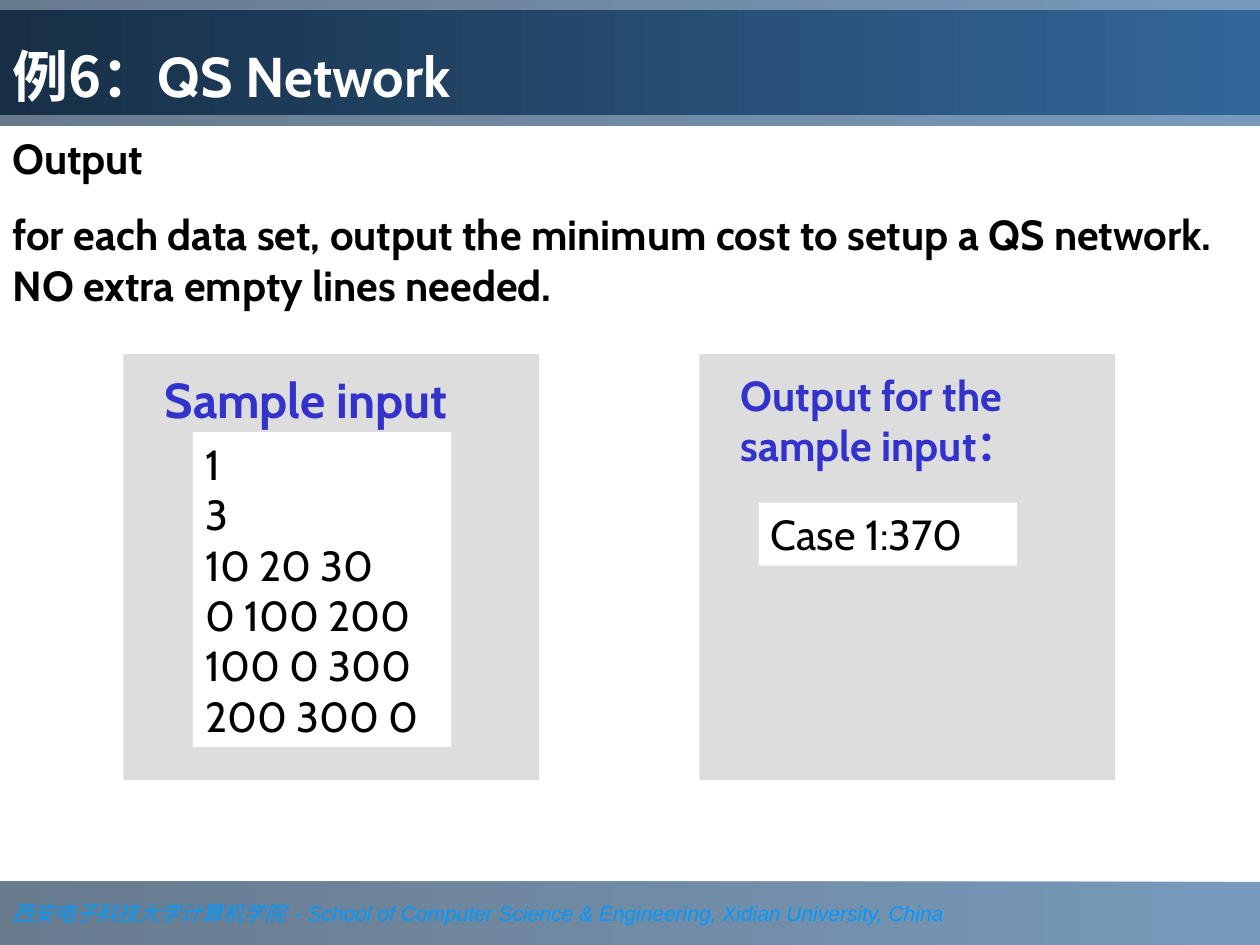
import pptx
import pptx.dml.color
import pptx.enum.shapes
import pptx.enum.text
import pptx.oxml.ns
import pptx.util
from lxml import etree

WIDTH, HEIGHT = 10, 7.5
BAND = 1
PANEL_LEFTS = (0.98, 5.55)
PANEL_TOP, PANEL_WIDTH, PANEL_HEIGHT = 2.81, 3.3, 3.38
LABEL_INSET = 0.23
INNER_WIDTH = 2.05
BLUE, NAVY, DARK = "336699", "1B3753", "172F46"
GREY, WHITE, BLACK, INDIGO = "DDDDDD", "FFFFFF", "000000", "3333CC"
ANCHOR = pptx.enum.text.MSO_ANCHOR


def color(value):
    return pptx.dml.color.RGBColor.from_string(value)


def place(shape, left, top, width, height):
    shape.left, shape.top, shape.width, shape.height = map(
        pptx.util.Inches, (left, top, width, height))


def fill_gradient(shape, start, end, alpha=None):
    """Fill from right to left; alpha is the opacity in percent."""
    shape.fill.gradient()
    shape.fill.gradient_angle = 180
    qn = pptx.oxml.ns.qn
    for stop, value in zip(shape.fill.gradient_stops, (start, end)):
        stop.color.rgb = color(value)
    if alpha is not None:
        for node in shape.element.spPr.iter(qn("a:srgbClr")):
            etree.SubElement(node, qn("a:alpha")).set("val", str(alpha * 1000))


def add_rect(shapes, left, top, width, height, fill=None):
    rect = shapes.add_shape(
        pptx.enum.shapes.MSO_SHAPE.RECTANGLE,
        *map(pptx.util.Inches, (left, top, width, height)))
    rect.shadow.inherit = False
    rect.line.fill.background()
    if fill:
        rect.fill.solid()
        rect.fill.fore_color.rgb = color(fill)
    return rect


def add_text_box(shapes, left, top, width, height):
    return shapes.add_textbox(
        *map(pptx.util.Inches, (left, top, width, height)))


def set_up_frame(shape, anchor=ANCHOR.TOP):
    frame = shape.text_frame
    frame.word_wrap = True
    frame.auto_size = pptx.enum.text.MSO_AUTO_SIZE.NONE
    frame.vertical_anchor = anchor
    frame.paragraphs[0].alignment = pptx.enum.text.PP_ALIGN.LEFT
    return frame.paragraphs[0]


def add_span(para, text, size=24, font="Cabin", fill=BLACK, bold=False,
             italic=False, east_asian=None):
    for number, line in enumerate(text.split("\n")):
        if number:
            para.add_line_break()
        span = para.add_run()
        span.text = line
        span.font.size = pptx.util.Pt(size)
        span.font.name = font
        span.font.bold = bold
        span.font.italic = italic
        span.font.color.rgb = color(fill)
        if east_asian:
            tag = pptx.oxml.ns.qn("a:ea")
            etree.SubElement(span.font._element, tag).set("typeface", east_asian)


def add_bands(page):
    """Put the header and footer bands behind the title."""
    footer = add_rect(page.shapes, 0, HEIGHT - BAND / 2, WIDTH, BAND / 2)
    header = add_rect(page.shapes, 0, 0, WIDTH, BAND)
    for band in (footer, header):
        fill_gradient(band, BLUE, NAVY, alpha=66)
        page.shapes.title.element.addprevious(band.element)
    para = set_up_frame(footer, ANCHOR.MIDDLE)
    style = dict(size=12, fill="0099FF", italic=True)
    add_span(para, "西安电子科技大学计算机学院  ", font="Times New Roman", **style)
    add_span(para, "- School of Computer Science & Engineering, "
             "Xidian University, China", font="Arial", **style)


def format_title(title):
    place(title, 0, 0.08, WIDTH, 0.83)
    fill_gradient(title, BLUE, DARK)
    para = set_up_frame(title, ANCHOR.BOTTOM)
    properties = para._p.get_or_add_pPr()
    indent = pptx.util.Inches(0.67)
    properties.set("marL", str(indent))
    properties.set("indent", str(-indent))
    style = dict(size=32, fill=WHITE, bold=True)
    cjk = "Noto Sans CJK SC"
    add_span(para, "例6：", font=cjk, east_asian=cjk, **style)
    add_span(para, "QS Network", **style)


def add_description(page):
    box = add_text_box(page.shapes, 0, BAND, WIDTH, 1.51)
    para = set_up_frame(box)
    add_span(para, "Output", bold=True)
    para = box.text_frame.add_paragraph()
    para.space_before = pptx.util.Pt(15)
    add_span(para, "for each data set, output the minimum cost to setup a QS "
             "network. NO extra empty lines needed.", bold=True)


def add_panel(page, left, label, label_size, label_height, sample, sample_box):
    """Add a grey panel; sample_box is left, top and height of its white box."""
    shapes = page.shapes.add_group_shape().shapes
    add_rect(shapes, left, PANEL_TOP, PANEL_WIDTH, PANEL_HEIGHT, GREY)
    inner_left, inner_top, inner_height = sample_box
    inner = add_rect(shapes, inner_left, inner_top, INNER_WIDTH, inner_height, WHITE)
    add_span(set_up_frame(inner), sample)
    box = add_text_box(shapes, left + LABEL_INSET, 2.88, 2.91, label_height)
    add_span(set_up_frame(box), label, size=label_size, fill=INDIGO, bold=True)


def main():
    deck = pptx.Presentation()
    deck.slide_width = pptx.util.Inches(WIDTH)
    deck.slide_height = pptx.util.Inches(HEIGHT)
    page = deck.slides.add_slide(deck.slide_layouts.get_by_name("Title Only"))
    add_bands(page)
    format_title(page.shapes.title)
    add_description(page)
    input_left, output_left = PANEL_LEFTS
    add_panel(page, output_left, "Output for the sample input：", 24, 1.3,
              "Case 1:370", (6.02, 3.99, 0.5))
    add_panel(page, input_left, "Sample input", 28, 0.57,
              "1\n3\n10 20 30\n0 100 200\n100 0 300\n200 300 0",
              (1.53, 3.43, 2.5))
    deck.save("out.pptx")


if __name__ == "__main__":
    main()
